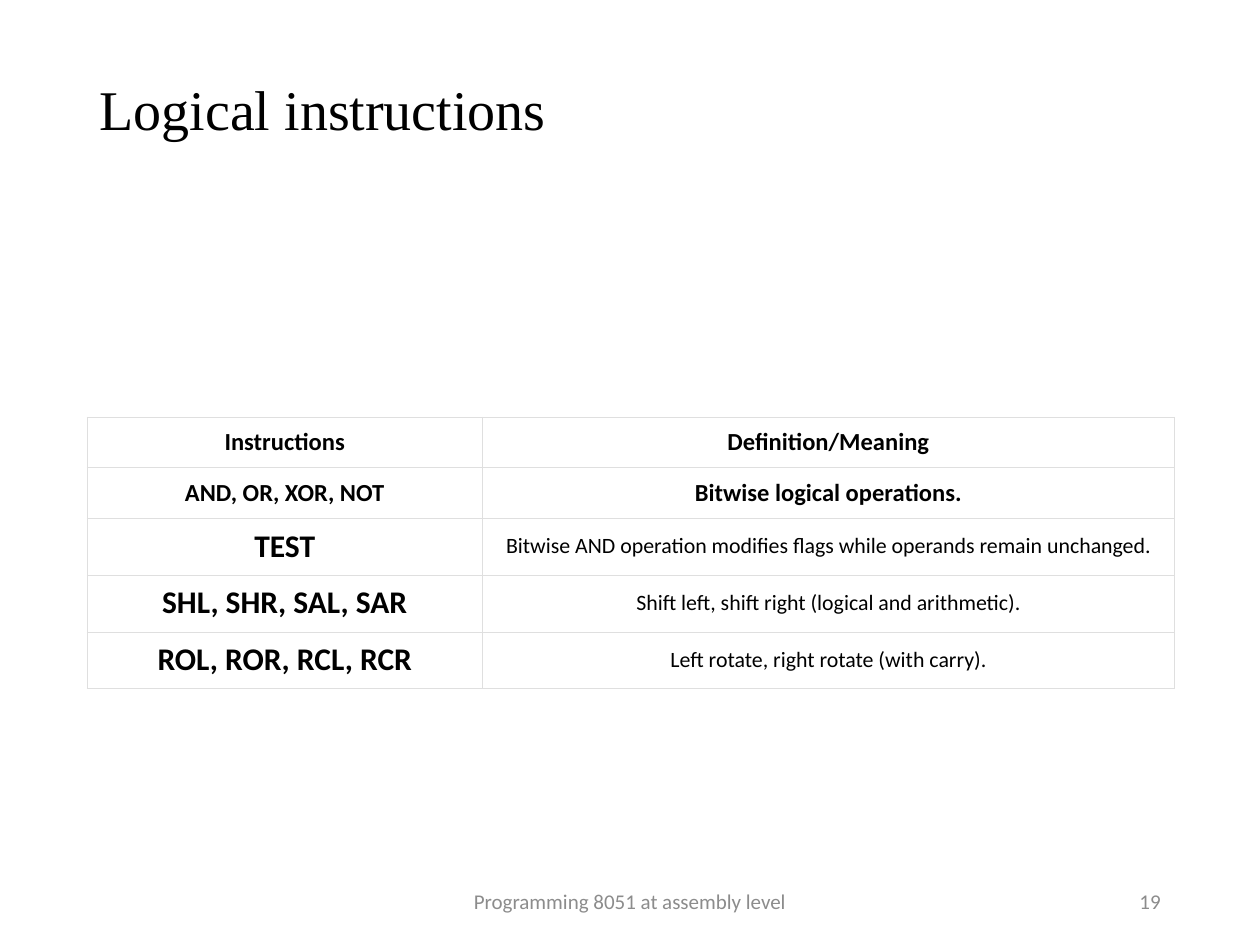
from lxml import etree
from pptx import Presentation
from pptx.dml.color import RGBColor
from pptx.enum.text import MSO_ANCHOR, PP_ALIGN
from pptx.oxml.ns import qn
from pptx.util import Inches, Pt

MIDDLE = MSO_ANCHOR.MIDDLE
LEFT, CENTER, RIGHT = PP_ALIGN.LEFT, PP_ALIGN.CENTER, PP_ALIGN.RIGHT
COLORS = {"ink": "000000", "paper": "FFFFFF", "rule": "DFDFDF", "muted": "8C8C8C"}
ROWS = [
    ("Instructions", "Definition/Meaning"),
    ("AND, OR, XOR, NOT", "Bitwise logical operations."),
    ("TEST", "Bitwise AND operation modifies flags while operands remain unchanged."),
    ("SHL, SHR, SAL, SAR", "Shift left, shift right (logical and arithmetic)."),
    ("ROL, ROR, RCL, RCR", "Left rotate, right rotate (with carry)."),
]


class Deck:
    font = "Calibri"
    serif = "Times New Roman"

    def __init__(self, deck):
        self.slide = deck.slides.add_slide(deck.slide_layouts[5])

    def text(self, frame, words, size, color="ink", align=CENTER, bold=False, font=None):
        para = frame.paragraphs[0]
        para.alignment = align
        run = para.add_run()
        run.text = words
        run.font.name = font or self.font
        run.font.size = Pt(size)
        run.font.bold = bold
        run.font.color.rgb = RGBColor.from_string(COLORS[color])
        return para

    def place(self, shape, box):
        shape.left, shape.top, shape.width, shape.height = map(Inches, box)
        frame = shape.text_frame
        frame.word_wrap = True
        frame.vertical_anchor = MIDDLE
        return frame

    def title(self, words, box):
        frame = self.place(self.slide.shapes.title, box)
        frame.margin_bottom = Inches(0.51)
        para = self.text(frame, words, 32, align=LEFT, font=self.serif)
        para.line_spacing = 0.9

    def label(self, words, box, align):
        shape = self.slide.shapes.add_textbox(*map(Inches, box))
        self.text(self.place(shape, box), words, 12, "muted", align)

    def border(self, cell):
        props = cell._tc.get_or_add_tcPr()
        for side in ("lnL", "lnR", "lnT", "lnB"):
            line = etree.SubElement(props, qn(f"a:{side}"), w=str(Pt(0.18)))
            fill = etree.SubElement(line, qn("a:solidFill"))
            etree.SubElement(fill, qn("a:srgbClr"), val=COLORS["rule"])

    def cell(self, cell, words, size, bold, side, edge):
        self.border(cell)
        cell.fill.solid()
        cell.fill.fore_color.rgb = RGBColor.from_string(COLORS["paper"])
        cell.vertical_anchor = MIDDLE
        cell.margin_left = cell.margin_right = Inches(side)
        cell.margin_top = cell.margin_bottom = Inches(edge)
        self.text(cell.text_frame, words, size, bold=bold)

    def table(self, rows, box, widths):
        frame = self.slide.shapes.add_table(len(rows), len(widths), *map(Inches, box))
        grid = frame.table
        grid.first_row = grid.horz_banding = False
        for col, width in zip(grid.columns, widths):
            col.width = Inches(width)
        for i, (name, note) in enumerate(rows):
            top = i < 2
            grid.rows[i].height = Inches(0.4 if top else 0.44)
            self.cell(grid.cell(i, 0), name, 14 if top else 18, True,
                      0.04, 0.08 if top else 0.06)
            self.cell(grid.cell(i, 1), note, 14 if top else 12.5, top,
                      0.08, 0.08 if top else 0.12)


def main():
    deck = Presentation()
    deck.slide_width, deck.slide_height = Inches(10), Inches(7.5)
    page = Deck(deck)
    page.title("Logical instructions", (0.69, 0.4, 8.62, 1.45))
    page.table(ROWS, (0.69, 3.31, 8.63, 2.12), (3.14, 5.49))
    page.label("Programming 8051 at assembly level", (3.31, 6.95, 3.38, 0.4), CENTER)
    page.label("19", (7.06, 6.95, 2.25, 0.4), RIGHT)
    deck.save("out.pptx")


if __name__ == "__main__":
    main()
